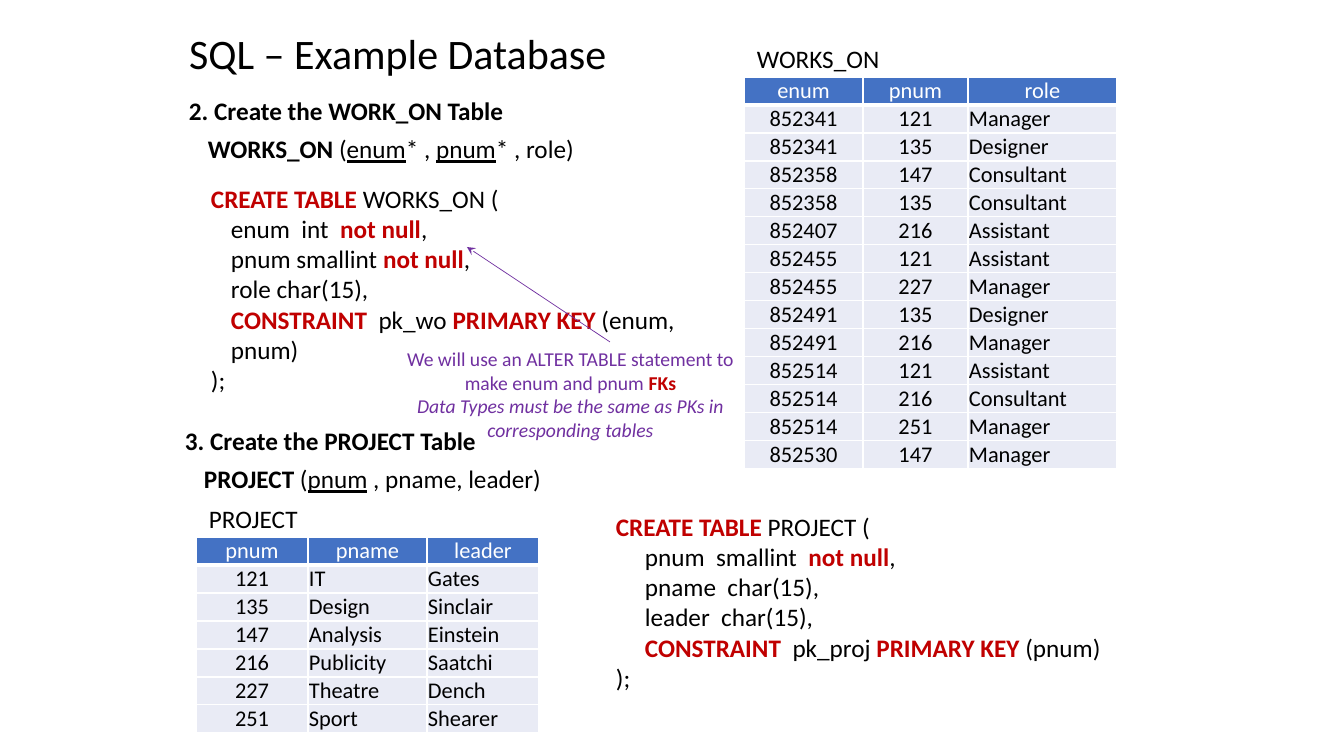
from dataclasses import dataclass

from lxml import etree
from pptx import Presentation
from pptx import util as u
from pptx.dml.color import RGBColor
from pptx.enum import shapes, text
from pptx.oxml import ns

PX = 914400 / 100.8


@dataclass(frozen=True)
class Theme:
    font: str = "Calibri"
    ink: str = "000000"
    white: str = "FFFFFF"
    keyword: str = "C00000"
    note: str = "7030A0"
    header: str = "4472C4"
    band: str = "E9EBF5"
    title_pt: int = 30
    body_pt: int = 18
    cell_pt: int = 16
    note_pt: int = 14


THEME = Theme()

# Run styles: colour, bold, italic, underline
PLAIN = (THEME.ink, False, False, False)
BOLD = (THEME.ink, True, False, False)
KEY = (THEME.ink, False, False, True)
WORD = (THEME.keyword, True, False, False)
NOTE = (THEME.note, False, False, False)
NOTE_ITALIC = (THEME.note, False, True, False)
HEADER = (THEME.white, False, False, False)

WORKS_ON_ROWS = [
    ("enum", "pnum", "role"),
    ("852341", "121", "Manager"),
    ("852341", "135", "Designer"),
    ("852358", "147", "Consultant"),
    ("852358", "135", "Consultant"),
    ("852407", "216", "Assistant"),
    ("852455", "121", "Assistant"),
    ("852455", "227", "Manager"),
    ("852491", "135", "Designer"),
    ("852491", "216", "Manager"),
    ("852514", "121", "Assistant"),
    ("852514", "216", "Consultant"),
    ("852514", "251", "Manager"),
    ("852530", "147", "Manager"),
]
PROJECT_ROWS = [
    ("pnum", "pname", "leader"),
    ("121", "IT", "Gates"),
    ("135", "Design", "Sinclair"),
    ("147", "Analysis", "Einstein"),
    ("216", "Publicity", "Saatchi"),
    ("227", "Theatre", "Dench"),
    ("251", "Sport", "Shearer"),
]
WORKS_ON_SCHEMA = [("WORKS_ON", BOLD), (" (", PLAIN), ("enum", KEY), ("* , ", PLAIN),
                   ("pnum", KEY), ("* , role)", PLAIN)]
PROJECT_SCHEMA = [("PROJECT", BOLD), (" (", PLAIN), ("pnum", KEY),
                  (" , pname, leader)", PLAIN)]
WORKS_ON_COLUMNS = [
    [("enum  int  ", PLAIN), ("not null", WORD), (",", PLAIN)],
    [("pnum smallint ", PLAIN), ("not null", WORD), (",", PLAIN)],
    [("role char(15),", PLAIN)],
    [("CONSTRAINT  ", WORD), ("pk_wo ", PLAIN), ("PRIMARY KEY ", WORD),
     ("(enum, pnum)", PLAIN)],
]
PROJECT_COLUMNS = [
    [("pnum  smallint  ", PLAIN), ("not null", WORD), (",", PLAIN)],
    [("pname  char(15),", PLAIN)],
    [("leader  char(15),", PLAIN)],
    [("CONSTRAINT  ", WORD), ("pk_proj ", PLAIN), ("PRIMARY KEY ", WORD),
     ("(pnum)", PLAIN)],
]


def px(n):
    return u.Emu(round(n * PX))


def add_runs(p, runs, size):
    for words, (color, bold, italic, underline) in runs:
        r = p.add_run()
        r.text = words
        f = r.font
        f.name, f.size = THEME.font, u.Pt(size)
        f.bold, f.italic, f.underline = bold, italic, underline
        f.color.rgb = RGBColor.from_string(color)


def add_text(parent, box, paragraphs, size=THEME.body_pt, align=None, after=0):
    """Place a text box; each paragraph is (left indent in px, runs)."""
    tf = parent.add_textbox(*map(px, box)).text_frame
    tf.word_wrap = True
    for i, (indent, runs) in enumerate(paragraphs):
        p = tf.add_paragraph() if i else tf.paragraphs[0]
        if indent:
            p._p.get_or_add_pPr().set("marL", str(px(indent)))
        p.alignment = align
        p.space_after = u.Pt(after)
        add_runs(p, runs, size)


def add_title(slide, box, words):
    sp = slide.shapes.title
    sp.left, sp.top, sp.width, sp.height = map(px, box)
    tf = sp.text_frame
    tf.auto_size = text.MSO_AUTO_SIZE.NONE
    tf.vertical_anchor = text.MSO_ANCHOR.MIDDLE
    p = tf.paragraphs[0]
    p.alignment = text.PP_ALIGN.LEFT
    add_runs(p, [(words, PLAIN)], THEME.title_pt)


def add_section(slide, box, heading, schema):
    add_text(slide.shapes, box, [(0, [(heading, BOLD)]), (19, schema)], after=6)


def add_create_table(slide, box, name, columns, indent):
    first = (0, [("CREATE TABLE ", WORD), (f"{name} (", PLAIN)])
    body = [(indent, runs) for runs in columns]
    add_text(slide.shapes, box, [first, *body, (0, [(");", PLAIN)])])


def set_borders(cell, bottom_pt):
    tc_pr = cell._tc.get_or_add_tcPr()
    for i, (side, pt) in enumerate(zip("LRTB", (1, 1, 1, bottom_pt))):
        ln = etree.Element(ns.qn(f"a:ln{side}"), w=str(u.Pt(pt)))
        fill = etree.SubElement(ln, ns.qn("a:solidFill"))
        etree.SubElement(fill, ns.qn("a:srgbClr"), val=THEME.white)
        tc_pr.insert(i, ln)


def add_data_table(slide, box, name, rows, widths, centred):
    """Place a caption and, below it, a table whose first columns are centred."""
    left, top, row_height = box
    add_text(slide.shapes, (left + 3, top - 39, 153, 40), [(0, [(name, PLAIN)])])
    frame = slide.shapes.add_table(len(rows), len(widths), px(left), px(top),
                                   px(sum(widths)), px(row_height * len(rows)))
    table = frame.table
    table.horz_banding = False
    for column, width in zip(table.columns, widths):
        column.width = px(width)
    for i, row in enumerate(rows):
        table.rows[i].height = px(row_height)
        for j, value in enumerate(row):
            cell = table.cell(i, j)
            cell.margin_left = cell.margin_right = px(1)
            cell.margin_top = cell.margin_bottom = 0
            cell.vertical_anchor = text.MSO_ANCHOR.BOTTOM
            cell.fill.solid()
            cell.fill.fore_color.rgb = RGBColor.from_string(
                THEME.band if i else THEME.header)
            set_borders(cell, 1 if i else 3)
            p = cell.text_frame.paragraphs[0]
            if i == 0 or j < centred:
                p.alignment = text.PP_ALIGN.CENTER
            add_runs(p, [(value, PLAIN if i else HEADER)], THEME.cell_pt)


def add_key_note(slide, box):
    """Place the foreign key note with an arrow up to the column list."""
    left, top, width, height = box
    group = slide.shapes.add_group_shape().shapes
    add_text(group, box, [
        (0, [("We will use an ALTER TABLE statement to make enum and pnum ", NOTE),
             ("FKs", WORD)]),
        (0, [("Data Types must be the same as PKs in corresponding tables", NOTE_ITALIC)]),
    ], THEME.note_pt, text.PP_ALIGN.CENTER)
    arrow = group.add_connector(shapes.MSO_CONNECTOR.STRAIGHT, px(left + 216), px(top),
                                px(left + 73), px(top - 95))
    arrow.line.width = u.Pt(0.5)
    arrow.line.color.rgb = RGBColor.from_string(THEME.note)
    etree.SubElement(arrow.line._get_or_add_ln(), ns.qn("a:tailEnd"), type="stealth")
    etree.SubElement(arrow._element.spPr, ns.qn("a:effectLst"))


def main():
    prs = Presentation()
    prs.slide_width, prs.slide_height = px(1344), px(756)
    slide = prs.slides.add_slide(prs.slide_layouts[5])
    add_title(slide, (179, 22, 977, 61), "SQL – Example Database")
    add_section(slide, (175, 420, 488, 80), "3. Create the PROJECT Table", PROJECT_SCHEMA)
    add_data_table(slide, (744, 77, 28), "WORKS_ON", WORKS_ON_ROWS, (119, 105, 149), 2)
    add_create_table(slide, (606, 506, 508, 194), "PROJECT", PROJECT_COLUMNS, 29)
    add_data_table(slide, (196, 537, 28), "PROJECT", PROJECT_ROWS, (112, 119, 112), 1)
    add_section(slide, (179, 90, 488, 80), "2. Create the WORK_ON Table", WORKS_ON_SCHEMA)
    add_create_table(slide, (201, 178, 555, 224), "WORKS_ON", WORKS_ON_COLUMNS, 20)
    add_key_note(slide, (394, 342, 353, 105))
    prs.save("out.pptx")


if __name__ == "__main__":
    main()
